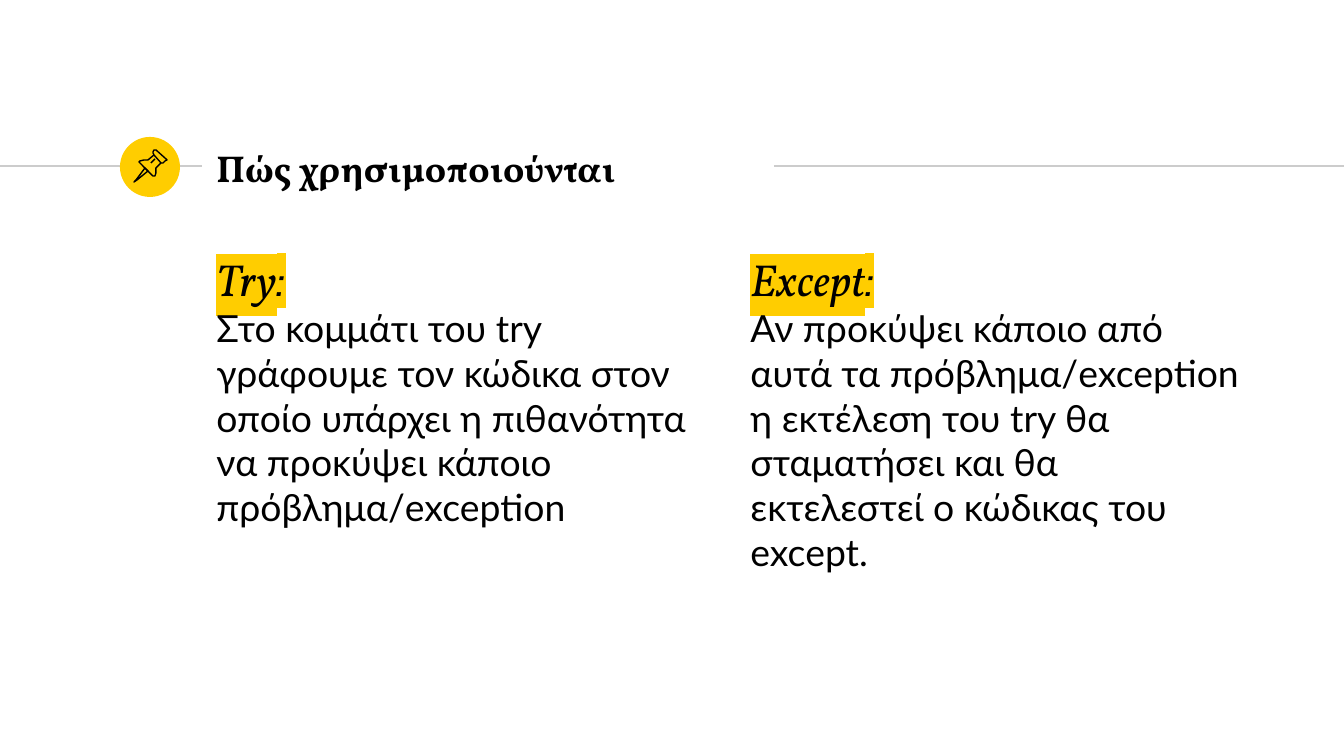
from typing import NamedTuple

from lxml import etree
from pptx import Presentation
from pptx.dml.color import RGBColor
from pptx.enum.shapes import MSO_CONNECTOR, MSO_SHAPE
from pptx.enum.text import MSO_ANCHOR, MSO_AUTO_SIZE, PP_ALIGN
from pptx.oxml.ns import qn
from pptx.util import Pt

PX = 914400 / 134.4
STRAIGHT = MSO_CONNECTOR.STRAIGHT
OVAL = MSO_SHAPE.OVAL
TOP, MIDDLE = MSO_ANCHOR.TOP, MSO_ANCHOR.MIDDLE
LEFT = PP_ALIGN.LEFT
NO_FIT = MSO_AUTO_SIZE.NONE
COLORS = {"ink": "000000", "gold": "FFCD00", "rule": "CCCCCC", "page": "FFFFFF"}

Point = tuple[int, int]


class Box(NamedTuple):
    left: int
    top: int
    width: int
    height: int


class Column(NamedTuple):
    slot: int
    box: Box
    head: str
    text: str


class Outline(NamedTuple):
    points: list[Point]
    closed: bool


TITLE_BOX = Box(203, 136, 570, 64)
DISC = Box(120, 137, 60, 60)
RULES = [((0, 166), (202, 166)), ((774, 166), (1344, 166))]
COLUMNS = [
    Column(1, Box(203, 238, 504, 474), "Try",
           "Στο κομμάτι του try γράφουμε τον κώδικα στον οποίο υπάρχει "
           "η πιθανότητα να προκύψει κάποιο πρόβλημα/exception"),
    Column(2, Box(737, 238, 517, 474), "Except",
           "Αν προκύψει κάποιο από αυτά τα πρόβλημα/exception η εκτέλεση "
           "του try θα σταματήσει και θα εκτελεστεί ο κώδικας του except."),
]
PIN = [
    Outline([(145, 168), (136, 180), (134, 182), (137, 180), (148, 171)], True),
    Outline([(154, 155), (161, 163), (163, 163), (165, 161), (167, 160),
             (166, 159), (156, 150), (154, 150), (153, 152), (153, 153)], True),
    Outline([(154, 155), (148, 160), (144, 160), (140, 161), (139, 162),
             (153, 176), (155, 176), (156, 173), (156, 168), (161, 163)], False),
]
GLINT = ((151, 163), (155, 159))


def emu(px: int) -> int:
    return round(px * PX)


def rgb(name: str) -> RGBColor:
    return RGBColor.from_string(COLORS[name])


def style(font, face: str, size: int, bold: bool = False, italic: bool = False) -> None:
    font.name, font.size = face, Pt(size)
    font.bold, font.italic = bold, italic
    font.color.rgb = rgb("ink")


def place(holder, box: Box, anchor) -> None:
    holder.left, holder.top, holder.width, holder.height = map(emu, box)
    frame = holder.text_frame
    frame.word_wrap, frame.auto_size = True, NO_FIT
    frame.vertical_anchor = anchor
    frame.margin_left = frame.margin_right = Pt(7.2)
    frame.margin_top = frame.margin_bottom = Pt(7.2)


def flush(para) -> None:
    """Remove bullet, indent and paragraph gaps."""
    para.alignment, para.line_spacing = LEFT, 1.0
    para.space_before = para.space_after = Pt(0)
    props = para._p.get_or_add_pPr()
    props.set("marL", "0")
    props.set("indent", "0")
    none = etree.Element(qn("a:buNone"))
    after = props.find(qn("a:defRPr"))
    if after is None:
        props.append(none)
    else:
        after.addprevious(none)


def mark(run) -> None:
    """Highlight a run that already has a colour and a face."""
    light = etree.Element(qn("a:highlight"))
    etree.SubElement(light, qn("a:srgbClr")).set("val", COLORS["gold"])
    run.font._element.find(qn("a:solidFill")).addnext(light)


def add_line(shapes, ends: tuple[Point, Point], color: str) -> None:
    (x1, y1), (x2, y2) = ends
    line = shapes.add_connector(STRAIGHT, emu(x1), emu(y1), emu(x2), emu(y2))
    line.line.color.rgb, line.line.width = rgb(color), Pt(0.75)
    etree.SubElement(line._element.spPr, qn("a:effectLst"))


def add_disc(shapes, box: Box) -> None:
    disc = shapes.add_shape(OVAL, *map(emu, box))
    disc.shadow.inherit = False
    disc.fill.solid()
    disc.fill.fore_color.rgb = rgb("gold")
    disc.line.fill.background()


def add_outline(shapes, part: Outline) -> None:
    first, *rest = part.points
    pen = shapes.build_freeform(*first, scale=PX)
    pen.add_line_segments(rest, close=part.closed)
    shape = pen.convert_to_shape()
    shape.shadow.inherit = False
    shape.fill.background()
    shape.line.color.rgb, shape.line.width = rgb("ink"), Pt(0.75)


def fill_title(holder, text: str) -> None:
    place(holder, TITLE_BOX, MIDDLE)
    holder.text_frame.text = text
    para = holder.text_frame.paragraphs[0]
    style(para.font, "Vollkorn", 20, bold=True)
    flush(para)


def fill_column(holder, col: Column) -> None:
    place(holder, col.box, TOP)
    head = holder.text_frame.paragraphs[0]
    for text, face in ((col.head, "Vollkorn"), (":", "Cabin")):
        run = head.add_run()
        run.text = text
        style(run.font, face, 24, italic=True)
        mark(run)
    body = holder.text_frame.add_paragraph()
    body.text = col.text
    style(body.font, "Lato", 20)
    for para in (head, body):
        flush(para)


def main() -> None:
    deck = Presentation()
    deck.slide_width, deck.slide_height = emu(1344), emu(756)
    slide = deck.slides.add_slide(deck.slide_layouts[3])
    slide.background.fill.solid()
    slide.background.fill.fore_color.rgb = rgb("page")
    shapes = slide.shapes
    for ends in RULES:
        add_line(shapes, ends, "rule")
    add_disc(shapes, DISC)
    fill_title(shapes.title, "Πώς χρησιμοποιούνται")
    for col in COLUMNS:
        fill_column(slide.placeholders[col.slot], col)
    for part in PIN:
        add_outline(shapes, part)
    add_line(shapes, GLINT, "ink")
    deck.save("out.pptx")


if __name__ == "__main__":
    main()
